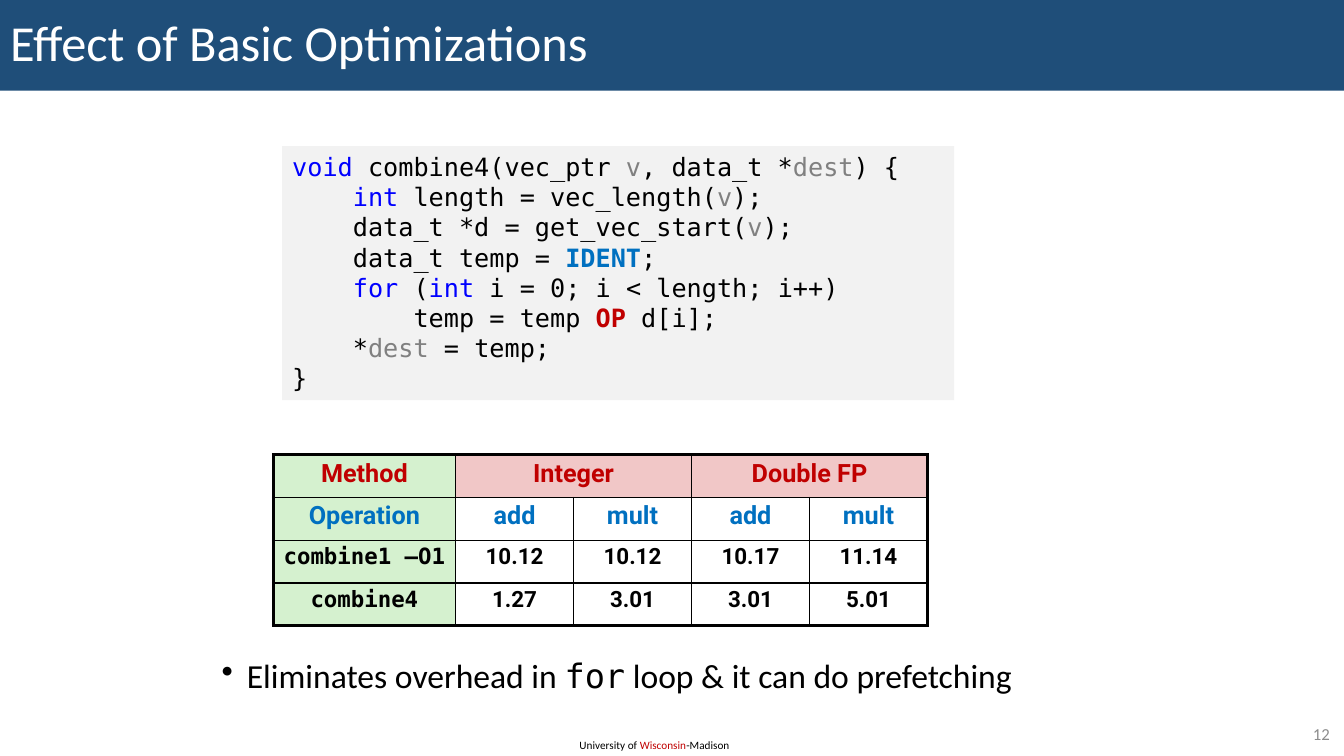
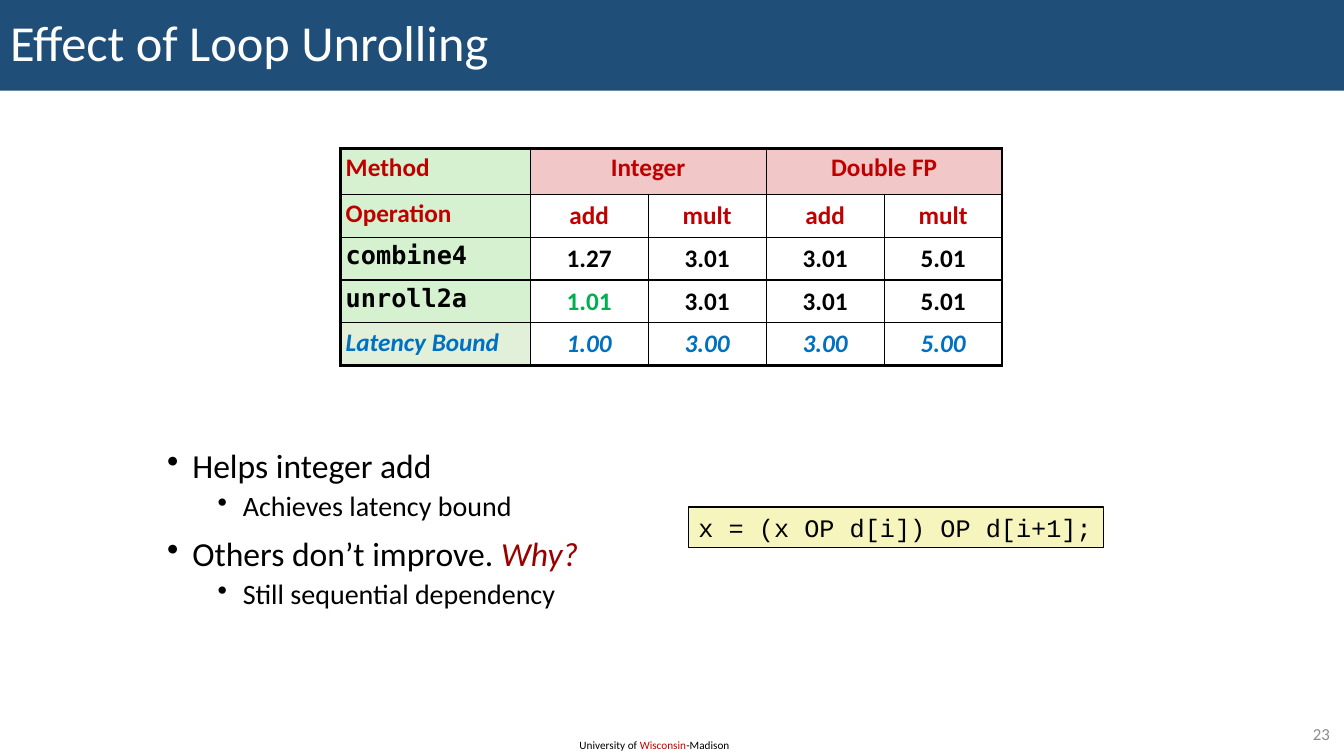
"""Build two lecture slides on how code optimizations change measured cost."""
from dataclasses import dataclass
from typing import Any

from lxml.etree import SubElement
from pptx import Presentation
from pptx.dml.color import RGBColor
from pptx.enum.shapes import MSO_SHAPE as Shape
from pptx.enum.text import MSO_ANCHOR as Anchor, MSO_AUTO_SIZE as AutoSize, PP_ALIGN as Align
from pptx.oxml.ns import qn
from pptx.util import Inches, Pt

COLORS = {
    "black": "000000", "white": "FFFFFF", "band": "1F4E79", "number": "8C8C8C",
    "red": "C00000", "dark red": "990000", "blue": "0070C0", "green": "00B050",
    "keyword": "0000FF", "parameter": "808080", "code": "F2F2F2", "formula": "F6F5BD",
    "label": "D5F1CF", "bound": "E2F0D9", "group": "F1C7C7",
}
SANS, MONO, COURIER = "Calibri", "DejaVu Sans Mono", "Courier New"
COLUMNS = ROWS = 100
THIN, THICK = 1, 2.25


@dataclass
class Row:
    label: str
    values: list
    color: str = "black"
    size: int = 18
    label_font: str = ""
    label_fill: str = "label"
    value_fill: str = ""
    italic: bool = False
    span: int = 1


class Deck:
    def __init__(self):
        self.show = Presentation()
        self.show.slide_width, self.show.slide_height = Inches(13.33), Inches(7.5)
        self.slide: Any = None

    def x(self, columns):
        return round(self.show.slide_width * columns / COLUMNS)

    def y(self, rows):
        return round(self.show.slide_height * rows / ROWS)

    def area(self, left, top, width, height):
        return self.x(left), self.y(top), self.x(width), self.y(height)

    def color(self, name):
        return RGBColor.from_string(COLORS[name])

    def paint(self, fill, name):
        if name:
            fill.solid()
            fill.fore_color.rgb = self.color(name)
        else:
            fill.background()

    def typeset(self, paragraph, runs, font, size, color="black", align=Align.LEFT,
                spacing=1.0, bold=None, italic=None):
        paragraph.alignment, paragraph.line_spacing = align, spacing
        base = paragraph.font
        base.name, base.size, base.bold, base.italic = font, Pt(size), bold, italic
        base.color.rgb = self.color(color)
        for part in [runs] if isinstance(runs, (str, tuple)) else runs:
            text, tint, style = (part, "", "") if isinstance(part, str) else (*part, "")[:3]
            run = paragraph.add_run()
            run.text = text
            if tint:
                run.font.color.rgb = self.color(tint)
            if style == "bold":
                run.font.bold = True
            elif style == "italic":
                run.font.italic = True
            elif style:
                run.font.name = style

    def lines(self, frame, lines, *args, **style):
        frame.word_wrap = True
        for index, runs in enumerate(lines):
            paragraph = frame.add_paragraph() if index else frame.paragraphs[0]
            self.typeset(paragraph, runs, *args, **style)

    def add_slide(self, title, number):
        self.slide = self.show.slides.add_slide(self.show.slide_layouts[5])
        heading = self.slide.shapes.title
        heading.left, heading.top, heading.width, heading.height = self.area(0, 0, 100, 12)
        self.paint(heading.fill, "band")
        frame = heading.text_frame
        frame.auto_size, frame.vertical_anchor = AutoSize.NONE, Anchor.MIDDLE
        self.lines(frame, [title], SANS, 36, "white", spacing=0.9)
        self.text((42.38, 97.07, 12.9, 3.2),
                  ["University of ", ("Wisconsin", "red"), "-Madison"], 8)
        self.text((93.98, 95.07, 5.7, 3.87), str(number), 12, "number", Align.RIGHT, Anchor.MIDDLE)

    def text(self, area, runs, size, color="black", align=Align.LEFT, anchor=Anchor.TOP):
        frame = self.slide.shapes.add_textbox(*self.area(*area)).text_frame
        frame.vertical_anchor = anchor
        self.lines(frame, [runs], SANS, size, color, align=align)

    def code(self, area, lines, font, fill, outline=""):
        panel = self.slide.shapes.add_shape(Shape.RECTANGLE, *self.area(*area))
        panel.shadow.inherit = False
        self.paint(panel.fill, fill)
        self.paint(panel.line.fill, outline)
        if outline:
            panel.line.width = Pt(THIN)
        panel.text_frame.vertical_anchor = Anchor.TOP
        self.lines(panel.text_frame, lines, font, 18)
        panel.text_frame.word_wrap = len(lines) > 1

    def bullets(self, area, points):
        frame = self.slide.shapes.add_textbox(*self.area(*area)).text_frame
        frame.word_wrap = True
        for index, (level, runs) in enumerate(points):
            point = frame.add_paragraph() if index else frame.paragraphs[0]
            point.level = level
            properties = point._p.get_or_add_pPr()
            properties.set("marL", str(Inches(0.25 + 0.5 * level)))
            properties.set("indent", str(-Inches(0.25)))
            SubElement(properties, qn("a:buChar"), char="•")
            if index:
                point.space_before = Pt(5 if level else 10)
            self.typeset(point, runs, SANS, 20 if level else 24, spacing=0.9)

    def border(self, cell, **widths):
        properties = cell._tc.get_or_add_tcPr()
        for side, width in widths.items():
            edge = SubElement(properties, qn(f"a:ln{side}"), w=str(Pt(width)))
            fill = SubElement(edge, qn("a:solidFill"))
            SubElement(fill, qn("a:srgbClr"), val=COLORS["black"])

    def table(self, left, top, label_width, rows, font, header_height=5.66,
              label_align=Align.CENTER, anchor=Anchor.TOP):
        widths = [label_width] + [8.78] * 4
        heights = [header_height] + [5.66] * (len(rows) - 1)
        area = self.area(left, top, sum(widths), sum(heights))
        grid = self.slide.shapes.add_table(len(rows), len(widths), *area).table
        grid.first_row = grid.horz_banding = False
        for column, width in zip(grid.columns, widths):
            column.width = self.x(width)
        for line, height in zip(grid.rows, heights):
            line.height = self.y(height)
        for r, row in enumerate(rows):
            for c, runs in enumerate([row.label, *row.values]):
                start = 1 + (c - 1) * row.span if c else 0
                end = start + row.span - 1 if c else 0
                cell = grid.cell(r, start)
                if end > start:
                    cell.merge(grid.cell(r, end))
                for k in range(start, end + 1):
                    self.border(grid.cell(r, k), L=THIN if k else THICK,
                                R=THICK if end == len(widths) - 1 else THIN,
                                T=THIN if r else THICK,
                                B=THICK if r == len(rows) - 1 else THIN)
                self.paint(cell.fill, row.value_fill if c else row.label_fill)
                cell.margin_left = cell.margin_right = Inches(0.05)
                cell.margin_top = cell.margin_bottom = Inches(0.05)
                cell.vertical_anchor = anchor if r and c else Anchor.TOP
                self.typeset(cell.text_frame.paragraphs[0], runs,
                             font if c else row.label_font or font, row.size, row.color,
                             Align.CENTER if c else label_align, 0.95, True, row.italic)


def header(operation_color):
    return [Row("Method", ["Integer", "Double FP"], "red", value_fill="group", span=2),
            Row("Operation", ["add", "mult"] * 2, operation_color)]


def basic_optimizations(deck):
    v, dest = ("v", "parameter"), ("dest", "parameter")
    integer = ("int", "keyword")
    deck.add_slide("Effect of Basic Optimizations", 12)
    deck.bullets((15.75, 86.53, 64.8, 7.87), [
        (0, ["Eliminates overhead in ", ("for", "", MONO), " loop & it can do prefetching"])])
    deck.table(20.33, 60.13, 13.57, header("blue") + [
        Row("combine1 –O1", ["10.12", "10.12", "10.17", "11.14"], size=16, label_font=MONO),
        Row("combine4", ["1.27", "3.01", "3.01", "5.01"], size=16, label_font=MONO),
    ], "Roboto")
    deck.code((21, 19.33, 50, 33.6), [
        [("void", "keyword"), " combine4(vec_ptr ", v, ", data_t *", dest, ") {"],
        ["    ", integer, " length = vec_length(", v, ");"],
        ["    data_t *d = get_vec_start(", v, ");"],
        ["    data_t temp = ", ("IDENT", "blue", "bold"), ";"],
        ["    ", ("for", "keyword"), " (", integer, " i = 0; i < length; i++)"],
        ["        temp = temp ", ("OP", "red", "bold"), " d[i];"],
        ["    *", dest, " = temp;"],
        "}",
    ], MONO, "code")


def loop_unrolling(deck):
    deck.add_slide("Effect of Loop Unrolling", 23)
    deck.bullets((11.7, 58.8, 68.18, 27.47), [
        (0, "Helps integer add"),
        (1, "Achieves latency bound"),
        (0, ["Others don’t improve. ", ("Why?", "dark red", "italic")]),
        (1, "Still sequential dependency")])
    deck.code((51.23, 67.07, 30.9, 5.33), ["x = (x OP d[i]) OP d[i+1];"],
              COURIER, "formula", "black")
    deck.table(25.35, 19.6, 14.1, header("red") + [
        Row("combine4", ["1.27", "3.01", "3.01", "5.01"], label_font=MONO),
        Row("unroll2a", [("1.01", "green"), "3.01", "3.01", "5.01"], label_font=MONO),
        Row("Latency Bound", ["1.00", "3.00", "3.00", "5.00"], "blue",
            label_fill="bound", italic=True),
    ], SANS, 6.13, Align.LEFT, Anchor.MIDDLE)


def main():
    deck = Deck()
    basic_optimizations(deck)
    loop_unrolling(deck)
    deck.show.save("out.pptx")


if __name__ == "__main__":
    main()
